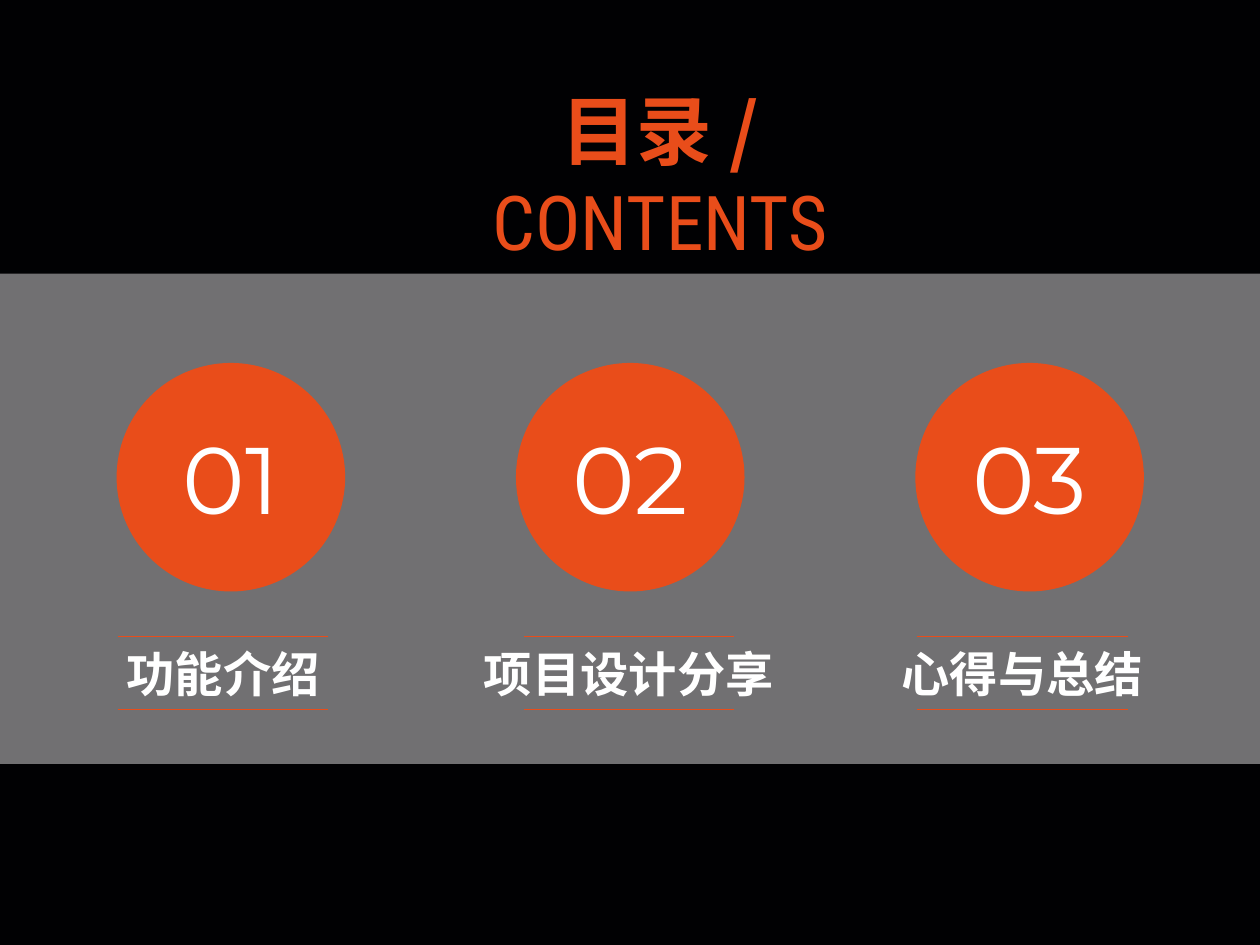
"""Build a contents slide with three numbered topics on a translucent band."""
from dataclasses import dataclass

from lxml import etree
from pptx import Presentation
from pptx.dml.color import RGBColor
from pptx.enum.shapes import MSO_CONNECTOR, MSO_SHAPE
from pptx.enum.text import MSO_ANCHOR, MSO_AUTO_SIZE, PP_ALIGN
from pptx.oxml.ns import qn
from pptx.util import Cm, Pt

RECTANGLE, OVAL = MSO_SHAPE.RECTANGLE, MSO_SHAPE.OVAL
STRAIGHT = MSO_CONNECTOR.STRAIGHT
TOP, MIDDLE = MSO_ANCHOR.TOP, MSO_ANCHOR.MIDDLE
CENTER = PP_ALIGN.CENTER
NO_FIT = MSO_AUTO_SIZE.NONE
FIT_SHAPE = MSO_AUTO_SIZE.SHAPE_TO_FIT_TEXT


@dataclass(frozen=True)
class Theme:
    """Hold the colours, fonts and type sizes of the slide."""
    background: str = "010103"
    accent: str = "E94D1A"
    band: str = "E1E0E2"
    light: str = "FFFFFF"
    chinese: str = "Noto Sans CJK SC"
    latin: str = "Roboto Condensed"
    numeral: str = "Montserrat"
    title_size: int = 36
    number_size: int = 45
    label_size: int = 23
    rule_width: float = 0.75


THEME = Theme()
WIDTH, HEIGHT = 21.17, 15.88
TOPICS = [("功能介绍", 3.75), ("项目设计分享", 10.57), ("心得与总结", 17.18)]
CIRCLE_LEFT, CIRCLE_TOP, CIRCLE_SIZE, CIRCLE_STEP = 1.96, 6.1, 3.84, 6.71
LABEL_TOP, LABEL_HEIGHT = 10.7, 1.24
RULE_LENGTH, RULE_GAP = 3.53, 1.22


def set_values(target, values):
    """Set each named attribute of the target."""
    for name, value in values.items():
        setattr(target, name, value)


def paint(fill, color, opacity=100):
    """Apply a solid fill with an opacity in percent."""
    fill.solid()
    fill.fore_color.rgb = RGBColor.from_string(color)
    if opacity < 100:
        color_node = fill._xPr.find(qn("a:solidFill"))[0]
        etree.SubElement(color_node, qn("a:alpha"), val=str(opacity * 1000))


def write(shape, spans, size, color, frame_format):
    """Write one centred paragraph of (text, font, bold) spans."""
    frame = shape.text_frame
    set_values(frame, frame_format)
    para = frame.paragraphs[0]
    set_values(para, {"alignment": CENTER, "line_spacing": 1.0})
    for text, font, bold in spans:
        span = para.add_run()
        span.text = text
        set_values(span.font, {"name": font, "size": Pt(size), "bold": bold})
        span.font.color.rgb = RGBColor.from_string(color)
        etree.SubElement(span.font._element, qn("a:ea"), typeface=font)


def add_filled_shape(page, kind, bounds, color, opacity=100):
    """Add a borderless preset shape without a shadow."""
    shape = page.shapes.add_shape(kind, *map(Cm, bounds))
    shape.shadow.inherit = False
    shape.line.fill.background()
    paint(shape.fill, color, opacity)
    return shape


def add_title(page):
    """Place the bilingual title above the band."""
    title = page.shapes.title
    bounds = {"left": 7.09, "top": 1.02, "width": 8, "height": 3.84}
    set_values(title, {name: Cm(value) for name, value in bounds.items()})
    spans = [("目录 / ", THEME.chinese, True), ("CONTENTS", THEME.latin, False)]
    write(title, spans, THEME.title_size, THEME.accent,
          {"vertical_anchor": MIDDLE, "word_wrap": True, "auto_size": NO_FIT})


def add_number(page, index):
    """Add the numbered circle of a topic."""
    left = CIRCLE_LEFT + index * CIRCLE_STEP
    bounds = (left, CIRCLE_TOP, CIRCLE_SIZE, CIRCLE_SIZE)
    circle = add_filled_shape(page, OVAL, bounds, THEME.accent)
    write(circle, [(f"{index + 1:02}", THEME.numeral, False)],
          THEME.number_size, THEME.light, {"vertical_anchor": MIDDLE})


def add_label(page, text, center):
    """Add a topic name in a box sized by its character count."""
    width = 0.84 * len(text) + 0.48
    bounds = (center - width / 2, LABEL_TOP, width, LABEL_HEIGHT)
    box = page.shapes.add_textbox(*map(Cm, bounds))
    write(box, [(text, THEME.chinese, True)], THEME.label_size, THEME.light,
          {"vertical_anchor": TOP, "word_wrap": False, "auto_size": FIT_SHAPE})


def add_rule(page, center, top):
    """Add a thin horizontal rule around a centre."""
    left, right = center - RULE_LENGTH / 2, center + RULE_LENGTH / 2
    rule = page.shapes.add_connector(STRAIGHT, *map(Cm, (left, top, right, top)))
    rule.line.width = Pt(THEME.rule_width)
    paint(rule.line.fill, THEME.accent)
    etree.SubElement(rule._element.spPr, qn("a:effectLst"))


def main():
    """Build and save the deck."""
    deck = Presentation()
    set_values(deck, {"slide_width": Cm(WIDTH), "slide_height": Cm(HEIGHT)})
    page = deck.slides.add_slide(deck.slide_layouts.get_by_name("Title Only"))
    paint(page.background.fill, THEME.background)
    add_title(page)
    add_filled_shape(page, RECTANGLE, (0, 4.6, WIDTH, 8.24), THEME.band, 50)
    for index, (text, center) in enumerate(TOPICS):
        add_number(page, index)
        add_label(page, text, center)
        for top in (LABEL_TOP, LABEL_TOP + RULE_GAP):
            add_rule(page, center, top)
    deck.save("out.pptx")


main()
